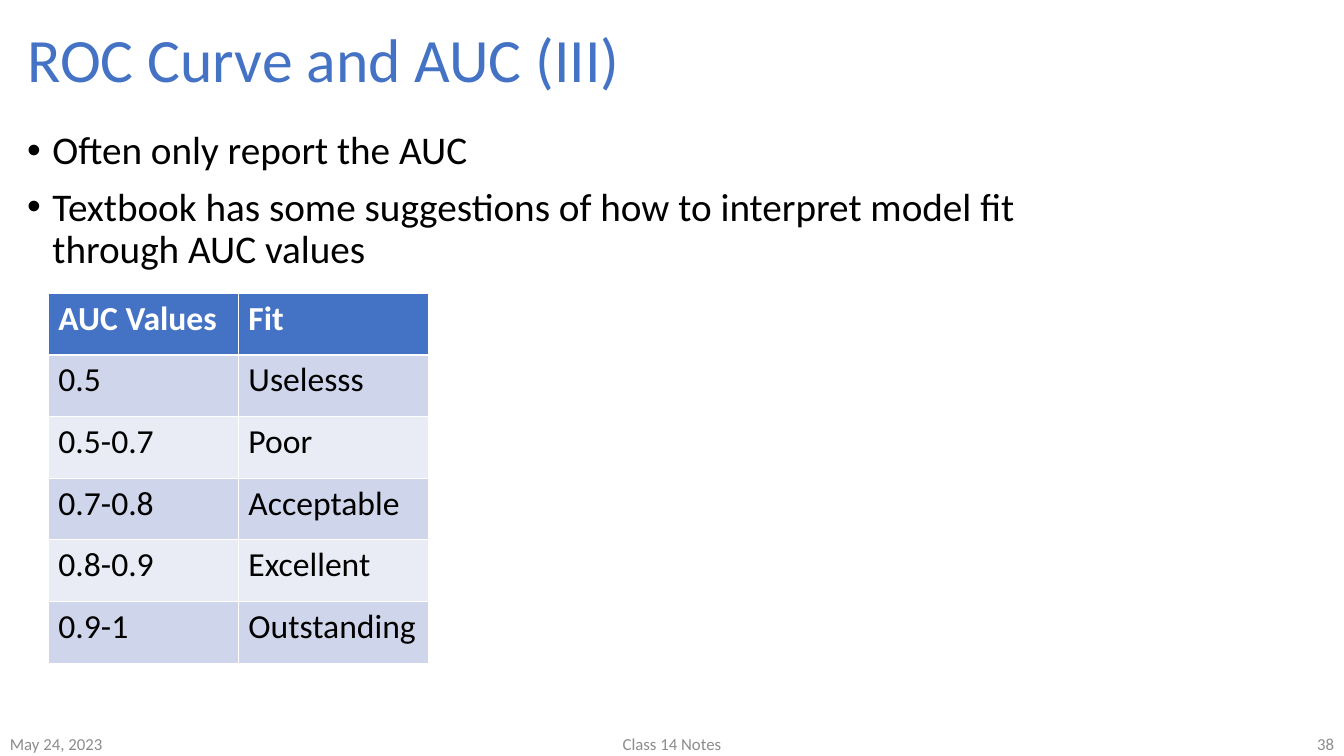
from pptx import Presentation
from pptx.dml.color import RGBColor
from pptx.enum.text import MSO_ANCHOR, MSO_AUTO_SIZE, PP_ALIGN
from pptx.util import Inches, Pt

LEFT, CENTER, RIGHT = PP_ALIGN.LEFT, PP_ALIGN.CENTER, PP_ALIGN.RIGHT
MIDDLE, TOP = MSO_ANCHOR.MIDDLE, MSO_ANCHOR.TOP
NO_FIT = MSO_AUTO_SIZE.NONE

SLIDE_W, SLIDE_H = 13.33, 7.5
MARGIN = 0.17
BLUE, BLACK, WHITE, GREY = "4472C4", "000000", "FFFFFF", "8C8C8C"
BANDS = ("CFD5EA", "E9EBF5")

BULLETS = [
    "Often only report the AUC",
    "Textbook has some suggestions of how to interpret model fit through AUC values",
]
AUC_FIT = [
    ("AUC Values", "Fit"),
    ("0.5", "Uselesss"),
    ("0.5-0.7", "Poor"),
    ("0.7-0.8", "Acceptable"),
    ("0.8-0.9", "Excellent"),
    ("0.9-1", "Outstanding"),
]


def rgb(value):
    return RGBColor.from_string(value)


def set_attrs(obj, **values):
    for name, value in values.items():
        setattr(obj, name, value)


def place(shape, box):
    names = ("left", "top", "width", "height")
    set_attrs(shape, **dict(zip(names, map(Inches, box))))


def write(p, text, size, color, bold=False, **layout):
    r = p.add_run()
    r.text = text
    set_attrs(r.font, name="Calibri", size=Pt(size), bold=bold)
    r.font.color.rgb = rgb(color)
    set_attrs(p, **layout)


def add_title(s, box, text):
    title = s.shapes.title
    place(title, box)
    tf = title.text_frame
    set_attrs(tf, vertical_anchor=MIDDLE, auto_size=NO_FIT)
    write(tf.paragraphs[0], text, 44, BLUE, alignment=LEFT, line_spacing=0.9)


def add_bullets(s, box, items):
    body = s.placeholders[1]
    place(body, box)
    tf = body.text_frame
    set_attrs(tf, vertical_anchor=TOP, auto_size=NO_FIT)
    for i, item in enumerate(items):
        p = tf.add_paragraph() if i else tf.paragraphs[0]
        write(p, item, 28, BLACK, line_spacing=0.9, space_before=Pt(10))
        pPr = p._p.get_or_add_pPr()
        pPr.set("marL", str(Inches(0.25)))
        pPr.set("indent", str(Inches(-0.25)))


def add_fit_table(s, box, rows):
    table = s.shapes.add_table(len(rows), len(rows[0]), *map(Inches, box)).table
    for i, row in enumerate(rows):
        header = i == 0
        for j, text in enumerate(row):
            cell = table.cell(i, j)
            cell.fill.solid()
            cell.fill.fore_color.rgb = rgb(BLUE if header else BANDS[(i - 1) % 2])
            write(cell.text_frame.paragraphs[0], text, 24,
                  WHITE if header else BLACK, bold=header)


def add_footer(s, box):
    left, top, width, height = box
    parts = [
        ("May 24, 2023", 0, 3, LEFT),
        ("Class 14 Notes", (width - 4.5) / 2, 4.5, CENTER),
        ("38", width - 3, 3, RIGHT),
    ]
    for text, offset, part_w, align in parts:
        part = s.shapes.add_textbox(0, 0, 0, 0)
        place(part, (left + offset, top, part_w, height))
        tf = part.text_frame
        set_attrs(tf, word_wrap=True, vertical_anchor=MIDDLE)
        write(tf.paragraphs[0], text, 12, GREY, alignment=align)


def main():
    prs = Presentation()
    set_attrs(prs, slide_width=Inches(SLIDE_W), slide_height=Inches(SLIDE_H))
    s = prs.slides.add_slide(prs.slide_layouts[1])
    add_title(s, (MARGIN, 0.16, SLIDE_W - 2 * MARGIN, 0.92), "ROC Curve and AUC (III)")
    add_bullets(s, (MARGIN, 1.25, 10, 5.92), BULLETS)
    add_fit_table(s, (0.48, 2.91, 3.77, 3.67), AUC_FIT)
    add_footer(s, (0, SLIDE_H - 0.25, SLIDE_W, 0.25))
    prs.save("out.pptx")


if __name__ == "__main__":
    main()
